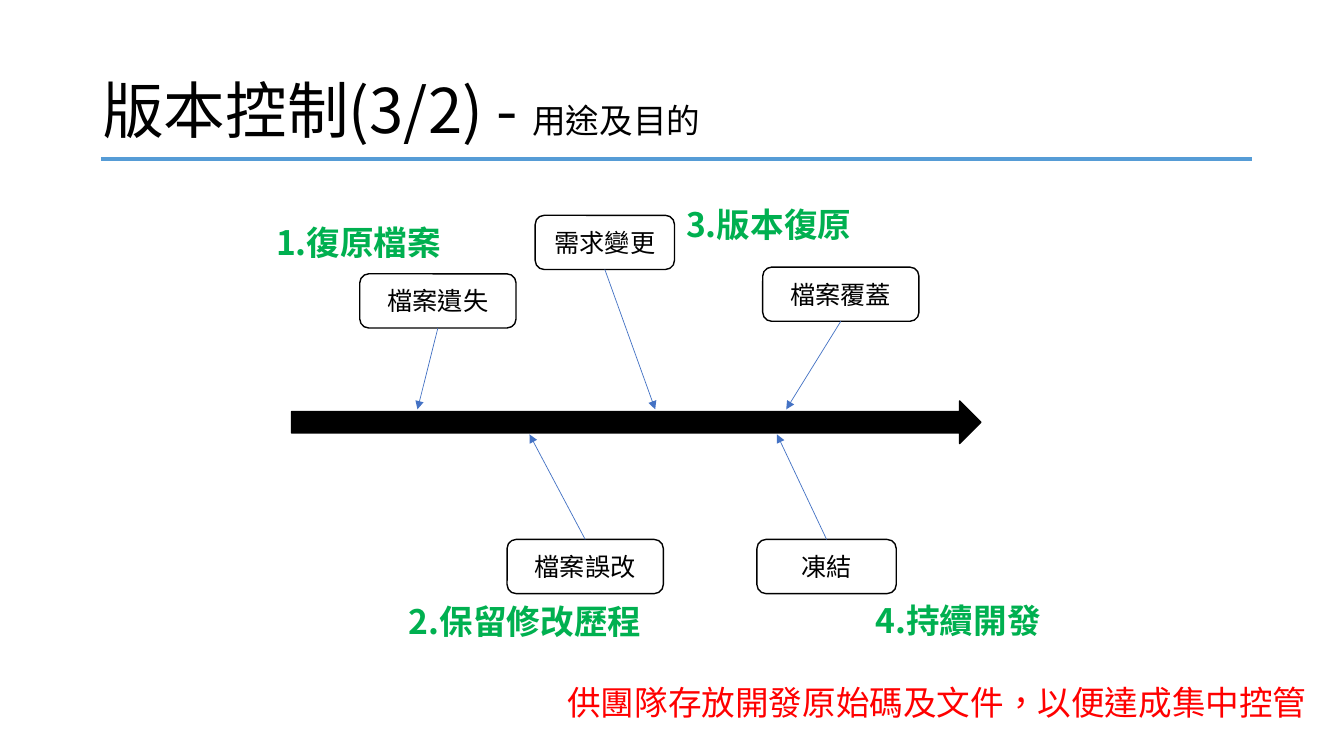
from typing import NamedTuple

from lxml import etree
from pptx import Presentation
from pptx.dml.color import RGBColor
from pptx.enum.shapes import MSO_CONNECTOR, MSO_SHAPE
from pptx.enum.text import MSO_ANCHOR, PP_ALIGN
from pptx.oxml.ns import qn
from pptx.util import Pt

STRAIGHT = MSO_CONNECTOR.STRAIGHT
ROUNDED = MSO_SHAPE.ROUNDED_RECTANGLE
RIGHT_ARROW = MSO_SHAPE.RIGHT_ARROW
MIDDLE, TOP = MSO_ANCHOR.MIDDLE, MSO_ANCHOR.TOP
CENTER, LEFT = PP_ALIGN.CENTER, PP_ALIGN.LEFT
TOP_SIDE, BOTTOM_SIDE = 0, 2

FONT = "Noto Sans CJK SC"
COLORS = {
    "black": "000000",
    "white": "FFFFFF",
    "pointer": "4472C4",
    "benefit": "00B050",
    "summary": "FF0000",
    "rule": "569CD6",
}
EVENT_HEIGHT = 38.7
LABEL_HEIGHT = 36.4
SHAFT_TOP, SHAFT_BOTTOM = 292.4, 310.3


class Event(NamedTuple):
    text: str
    left: float
    top: float
    width: float
    target_x: float


class Label(NamedTuple):
    text: str
    left: float
    top: float
    width: float
    color: str = "benefit"
    bold: bool = True


EVENTS = [
    Event("檔案遺失", 257, 195.6, 111.6, 298.2),
    Event("檔案誤改", 362.2, 385.3, 111.6, 378.2),
    Event("需求變更", 382.3, 153.8, 99.5, 468),
    Event("凍結", 540.7, 385.3, 99.5, 555),
    Event("檔案覆蓋", 544.8, 190.8, 111.6, 561.6),
]
LABELS = [
    Label("1.復原檔案", 190.1, 154.8, 145.4),
    Label("2.保留修改歷程", 285, 425.7, 185.8),
    Label("3.版本復原", 483, 141.8, 145.4),
    Label("4.持續開發", 618.3, 424.8, 145.4),
    Label("供團隊存放開發原始碼及文件，以便達成集中控管", 398.2, 483.8, 549.4, "summary", False),
]


def rgb(name: str) -> RGBColor:
    return RGBColor.from_string(COLORS[name])


def write(shape, text: str, *, size: float, color: str = "black", bold: bool = False,
          align=LEFT, anchor=TOP, spacing: float = 1.0, subtitle: str = "",
          subtitle_size: float = 24) -> None:
    frame = shape.text_frame
    frame.word_wrap = True
    frame.vertical_anchor = anchor
    paragraph = frame.paragraphs[0]
    paragraph.alignment = align
    paragraph.line_spacing = spacing
    for part, part_size in ((text, size), (subtitle, subtitle_size)):
        if not part:
            continue
        run = paragraph.add_run()
        run.text = part
        run.font.size = Pt(part_size)
        run.font.bold = bold
        run.font.color.rgb = rgb(color)
        run.font.name = FONT
        properties = run._r.get_or_add_rPr()
        properties.set("lang", "zh-TW")
        etree.SubElement(properties, qn("a:ea")).set("typeface", FONT)


def add_outline(slide, preset, left: float, top: float, width: float, height: float, fill: str):
    shape = slide.shapes.add_shape(preset, Pt(left), Pt(top), Pt(width), Pt(height))
    shape.shadow.inherit = False
    shape.fill.solid()
    shape.fill.fore_color.rgb = rgb(fill)
    shape.line.color.rgb = rgb("black")
    shape.line.width = Pt(1)
    return shape


def add_line(slide, start: tuple[float, float], end: tuple[float, float], color: str,
             width: float, arrow: bool = False):
    line = slide.shapes.add_connector(STRAIGHT, *(Pt(value) for value in (*start, *end)))
    line.line.color.rgb = rgb(color)
    line.line.width = Pt(width)
    if arrow:
        outline = line.line._get_or_add_ln()
        etree.SubElement(outline, qn("a:tailEnd")).set("type", "triangle")
    etree.SubElement(line._element.spPr, qn("a:effectLst"))
    return line


def add_event(slide, event: Event) -> None:
    box = add_outline(slide, ROUNDED, event.left, event.top, event.width, EVENT_HEIGHT, "white")
    write(box, event.text, size=18, align=CENTER, anchor=MIDDLE)
    above = event.top < SHAFT_TOP
    start = (event.left + event.width / 2, event.top + (EVENT_HEIGHT if above else 0))
    end = (event.target_x, SHAFT_TOP if above else SHAFT_BOTTOM)
    pointer = add_line(slide, start, end, "pointer", 0.5, arrow=True)
    pointer.begin_connect(box, BOTTOM_SIDE if above else TOP_SIDE)


def add_text(slide, text: str, left: float, top: float, width: float, height: float,
             **text_format) -> None:
    box = slide.shapes.add_textbox(Pt(left), Pt(top), Pt(width), Pt(height))
    write(box, text, **text_format)


def main() -> None:
    presentation = Presentation()
    presentation.slide_width, presentation.slide_height = Pt(960), Pt(540)
    slide = presentation.slides.add_slide(presentation.slide_layouts[6])

    add_outline(slide, RIGHT_ARROW, 208.2, 286.4, 492.4, 30.4, "black")
    for event in EVENTS:
        add_event(slide, event)
    for label in LABELS:
        add_text(slide, label.text, label.left, label.top, label.width, LABEL_HEIGHT,
                 size=24, color=label.color, bold=label.bold)
    add_text(slide, "版本控制(3/2) - ", 66, 28.8, 828, 104.4, size=44, anchor=MIDDLE,
             spacing=0.9, subtitle="用途及目的")
    add_line(slide, (72, 113.6), (894, 113.6), "rule", 2.25)
    presentation.save("out.pptx")


if __name__ == "__main__":
    main()
